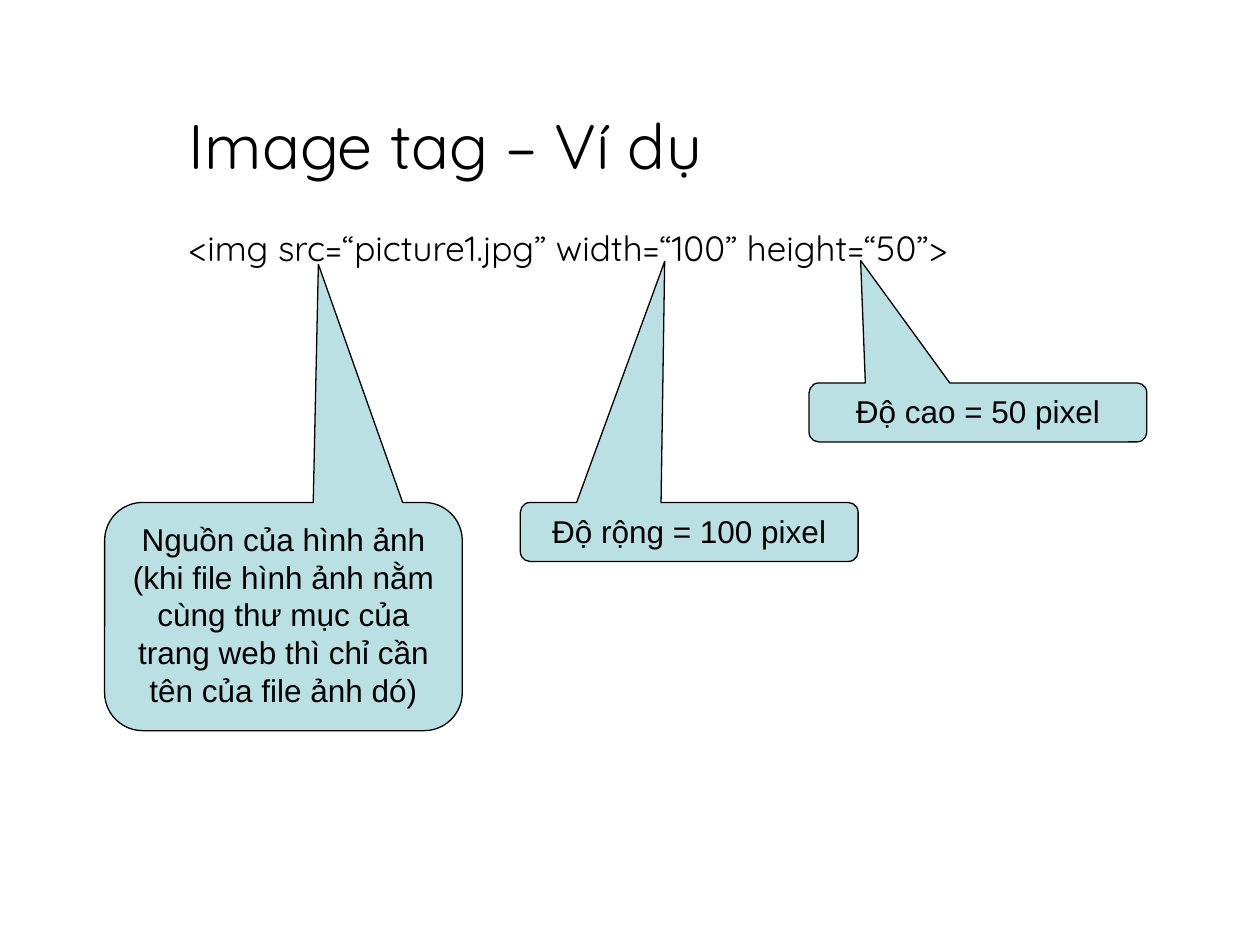
from pptx import Presentation
from pptx.dml.color import RGBColor
from pptx.enum import shapes, text
from pptx.util import Cm, Pt

BLACK = "000000"
CALLOUT_FILL = "BBE0E3"


def colour(value):
    return RGBColor.from_string(value)


def style(paragraph, font_name, size):
    paragraph.font.name = font_name
    paragraph.font.size = Pt(size)
    paragraph.font.color.rgb = colour(BLACK)


def add_line(slide, box, wording, size, anchor):
    """One line of heading or code inside box (left, top, width, height in cm)."""
    line = slide.shapes.add_textbox(*map(Cm, box))
    frame = line.text_frame
    frame.word_wrap = True
    frame.vertical_anchor = anchor
    frame.text = wording
    style(frame.paragraphs[0], "Quicksand", size)


def add_callout(slide, box, tip, wording):
    """Callout filling box, its pointer ending at tip (x, y in cm)."""
    left, top, width, height = box
    callout = slide.shapes.add_shape(
        shapes.MSO_SHAPE.ROUNDED_RECTANGULAR_CALLOUT, *map(Cm, box))
    # The pointer is measured from the centre, as a share of the box
    callout.adjustments[0] = (tip[0] - left) / width - 0.5
    callout.adjustments[1] = (tip[1] - top) / height - 0.5
    callout.shadow.inherit = False
    callout.fill.solid()
    callout.fill.fore_color.rgb = colour(CALLOUT_FILL)
    callout.line.color.rgb = colour(BLACK)
    callout.line.width = Pt(0.75)

    frame = callout.text_frame
    frame.word_wrap = True
    frame.vertical_anchor = text.MSO_ANCHOR.TOP
    frame.text = wording
    for paragraph in frame.paragraphs:
        paragraph.alignment = text.PP_ALIGN.CENTER
        style(paragraph, "Arial", 18)


def main():
    deck = Presentation()
    deck.slide_width, deck.slide_height = Cm(25.4), Cm(19.05)
    slide = deck.slides.add_slide(deck.slide_layouts[6])

    # Title and the tag being explained
    add_line(slide, (3.56, 1.9, 19.69, 2.03), "Image tag – Ví dụ", 36,
             text.MSO_ANCHOR.MIDDLE)
    add_line(slide, (3.56, 4.45, 19.94, 12.57),
             "<img src=“picture1.jpg” width=“100” height=“50”>", 20,
             text.MSO_ANCHOR.TOP)

    # One callout for each attribute
    attributes = [
        ((2.11, 10.13, 7.21, 4.6), (6.42, 5.33),
         "Nguồn của hình ảnh\n(khi file hình ảnh nằm cùng thư mục của "
         "trang web thì chỉ cần tên của file ảnh dó)"),
        ((10.49, 10.13, 6.81, 1.19), (13.4, 5.27), "Độ rộng = 100 pixel"),
        ((16.31, 7.72, 6.81, 1.19), (17.35, 5.25), "Độ cao = 50 pixel"),
    ]
    for box, tip, wording in attributes:
        add_callout(slide, box, tip, wording)

    deck.save("out.pptx")


if __name__ == "__main__":
    main()
